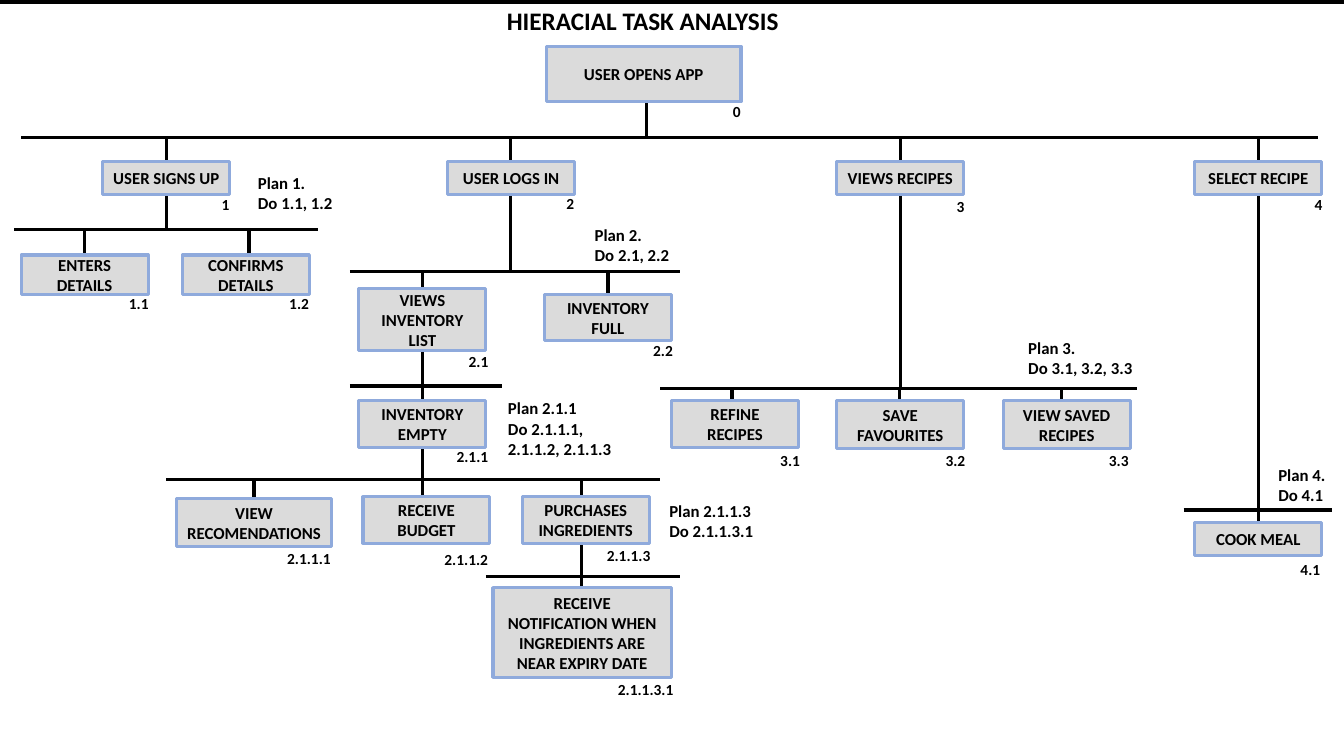
from dataclasses import dataclass

from lxml.etree import SubElement
from pptx import Presentation
from pptx.dml.color import RGBColor
from pptx.enum.shapes import MSO_CONNECTOR as Connector
from pptx.enum.shapes import MSO_SHAPE as Shape
from pptx.enum.text import MSO_ANCHOR as Anchor
from pptx.enum.text import PP_ALIGN as Align
from pptx.oxml.ns import qn
from pptx.util import Inches, Pt

BLACK = RGBColor(0x00, 0x00, 0x00)
WHITE = RGBColor(0xFF, 0xFF, 0xFF)
BOX_FILL = RGBColor(0xDB, 0xDB, 0xDB)
BOX_LINE = RGBColor(0x8F, 0xAA, 0xDC)
FONT = "Calibri"
ROOT = "0"
LINE_WIDTH = 2.25
# Width of a number's text box, by the length of the number
NUMBER_WIDTHS = {1: 0.37, 3: 0.41, 5: 0.55, 7: 0.66, 9: 0.86}


@dataclass
class Task:
    number: str
    label: str
    left: float
    top: float
    width: float
    height: float
    stem_x: float
    number_left: float
    number_top: float

    @property
    def bottom(self):
        return self.top + self.height

    @property
    def parent(self):
        return self.number.rpartition(".")[0] or ROOT


TASKS = [
    Task("0", "USER OPENS APP", 5.42, 0.46, 1.93, 0.55, 6.41, 7.17, 0.96),
    Task("1", "USER SIGNS UP", 1.02, 1.6, 1.26, 0.33, 1.65, 2.1, 1.89),
    Task("1.1", "ENTERS DETAILS", 0.21, 2.53, 1.26, 0.39, 0.84, 1.18, 2.87),
    Task("1.2", "CONFIRMS DETAILS", 1.81, 2.53, 1.26, 0.39, 2.47, 2.77, 2.87),
    Task("2", "USER LOGS IN", 4.44, 1.6, 1.26, 0.33, 5.06, 5.52, 1.88),
    Task("2.1", "VIEWS INVENTORY LIST", 3.56, 2.86, 1.26, 0.62, 4.19, 4.55, 3.44),
    Task("2.1.1", "INVENTORY EMPTY", 3.56, 3.97, 1.26, 0.47, 4.19, 4.43, 4.39),
    Task("2.1.1.1", "VIEW RECOMENDATIONS", 1.75, 4.95, 1.54, 0.47, 2.52, 2.75, 5.4),
    Task("2.1.1.2", "RECEIVE BUDGET", 3.6, 4.93, 1.26, 0.46, 4.19, 4.31, 5.41),
    Task("2.1.1.3", "PURCHASES INGREDIENTS", 5.18, 4.93, 1.26, 0.46, 5.77, 5.92, 5.37),
    Task("2.1.1.3.1", "RECEIVE NOTIFICATION WHEN INGREDIENTS ARE NEAR EXPIRY DATE",
         4.89, 5.83, 1.77, 0.89, 5.77, 6.03, 6.7),
    Task("2.2", "INVENTORY FULL", 5.4, 2.92, 1.26, 0.46, 6.03, 6.38, 3.33),
    Task("3", "VIEWS RECIPES", 8.3, 1.6, 1.26, 0.33, 8.93, 9.39, 1.91),
    Task("3.1", "REFINE RECIPES", 6.66, 3.97, 1.26, 0.47, 7.26, 7.64, 4.43),
    Task("3.2", "SAVE FAVOURITES", 8.3, 3.97, 1.26, 0.48, 8.92, 9.28, 4.43),
    Task("3.3", "VIEW SAVED RECIPES", 9.95, 3.97, 1.26, 0.48, 10.53, 10.9, 4.43),
    Task("4", "SELECT RECIPE", 11.85, 1.6, 1.26, 0.33, 12.48, 12.94, 1.89),
    Task("4.1", "COOK MEAL", 11.85, 5.18, 1.26, 0.33, 12.48, 12.8, 5.51),
]

# Parent task: left end, right end and height of the bar over its subtasks
BARS = {
    "0": (0.21, 13.07, 1.36),
    "1": (0.14, 3.15, 2.28),
    "2": (3.47, 6.74, 2.69),
    "2.1": (3.47, 4.98, 3.83),
    "2.1.1": (1.65, 6.55, 4.76),
    "2.1.1.3": (4.82, 6.74, 5.72),
    "3": (6.55, 11.28, 3.85),
    "4": (11.74, 13.21, 5.06),
}

# Left, top, width, height, text
PLANS = [
    (2.46, 1.66, 1.23, 0.5, "Plan 1.\nDo 1.1, 1.2"),
    (5.8, 2.18, 1.4, 0.5, "Plan 2.\nDo 2.1, 2.2"),
    (10.1, 3.3, 1.26, 0.5, "Plan 3.\nDo 3.1, 3.2, 3.3"),
    (12.58, 4.56, 0.75, 0.5, "Plan 4.\nDo 4.1"),
    (4.94, 3.9, 1.33, 0.71, "Plan 2.1.1\nDo 2.1.1.1, 2.1.1.2, 2.1.1.3"),
    (6.54, 4.92, 1.23, 0.5, "Plan 2.1.1.3\nDo 2.1.1.3.1"),
]


def write_text(frame, text, size, align):
    frame.word_wrap = True
    frame.text = text
    for paragraph in frame.paragraphs:
        paragraph.alignment = align
        for run in paragraph.runs:
            run.font.name = FONT
            run.font.size = Pt(size)
            run.font.bold = True
            run.font.color.rgb = BLACK


def add_text(slide, left, top, width, height, text, size, align=Align.LEFT):
    box = slide.shapes.add_textbox(*map(Inches, (left, top, width, height)))
    write_text(box.text_frame, text, size, align)


def add_line(slide, x1, y1, x2, y2, width=LINE_WIDTH):
    line = slide.shapes.add_connector(
        Connector.STRAIGHT, *map(Inches, (x1, y1, x2, y2)))
    line.line.color.rgb = BLACK
    line.line.width = Pt(width)
    SubElement(line.element.spPr, qn("a:effectLst"))


def add_branches(slide):
    """Draw each bar, the stem from its parent and the stems to its subtasks."""
    tasks = {task.number: task for task in TASKS}
    for number, (left, right, y) in BARS.items():
        parent = tasks[number]
        add_line(slide, left, y, right, y)
        add_line(slide, parent.stem_x, parent.bottom, parent.stem_x, y)
    for task in TASKS:
        if task.number != ROOT:
            bar_y = BARS[task.parent][2]
            add_line(slide, task.stem_x, bar_y, task.stem_x, task.top)


def add_task(slide, task):
    box = slide.shapes.add_shape(
        Shape.RECTANGLE,
        *map(Inches, (task.left, task.top, task.width, task.height)))
    box.shadow.inherit = False
    box.fill.solid()
    box.fill.fore_color.rgb = BOX_FILL
    box.line.color.rgb = BOX_LINE
    box.line.width = Pt(LINE_WIDTH)
    box.text_frame.vertical_anchor = Anchor.MIDDLE
    write_text(box.text_frame, task.label, 12, Align.CENTER)
    add_text(slide, task.number_left, task.number_top,
             NUMBER_WIDTHS[len(task.number)], 0.29, task.number, 11)


def main():
    deck = Presentation()
    deck.slide_width = Inches(13.33)
    deck.slide_height = Inches(7.5)
    slide = deck.slides.add_slide(deck.slide_layouts[6])
    slide.background.fill.solid()
    slide.background.fill.fore_color.rgb = WHITE

    add_line(slide, 0, 0.02, 13.33, 0.02, width=3)
    add_text(slide, 2.65, 0, 7.45, 0.4, "HIERACIAL TASK ANALYSIS", 18, Align.CENTER)
    add_branches(slide)
    for task in TASKS:
        add_task(slide, task)
    for left, top, width, height, plan in PLANS:
        add_text(slide, left, top, width, height, plan, 12)
    deck.save("out.pptx")


if __name__ == "__main__":
    main()
